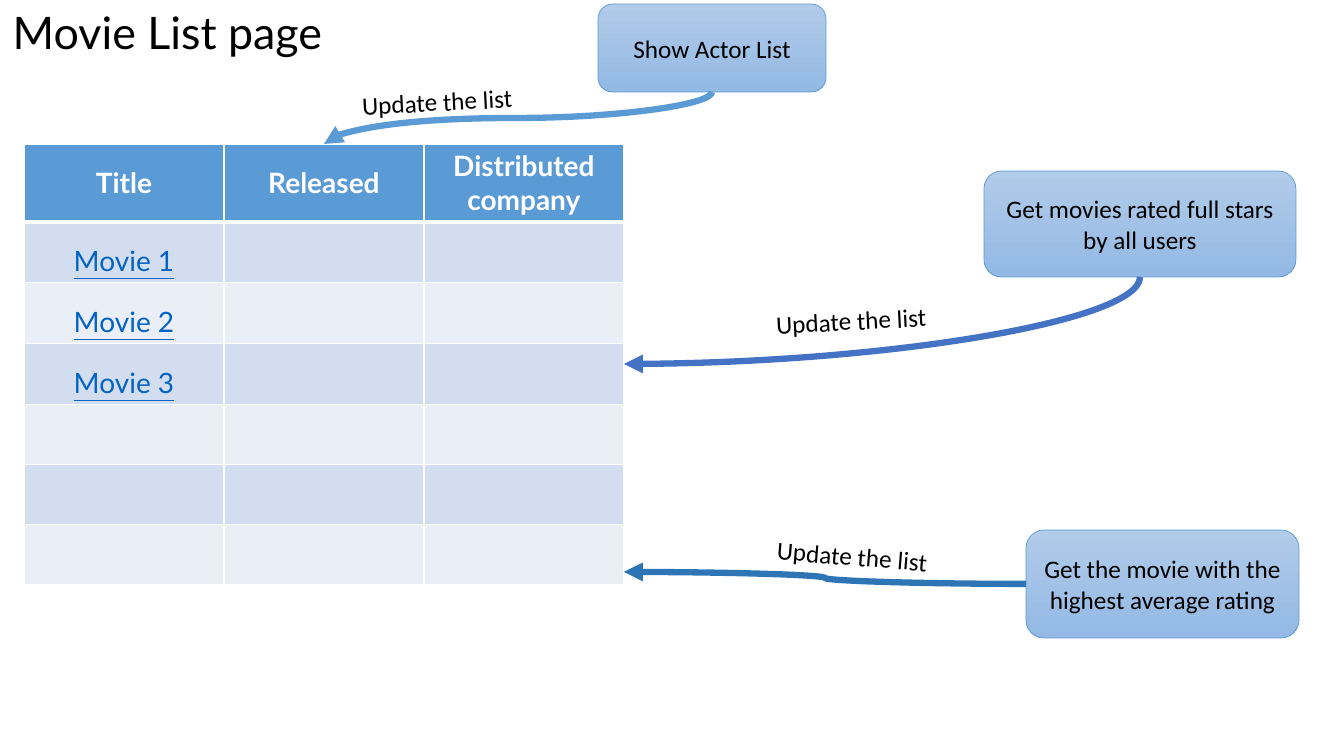
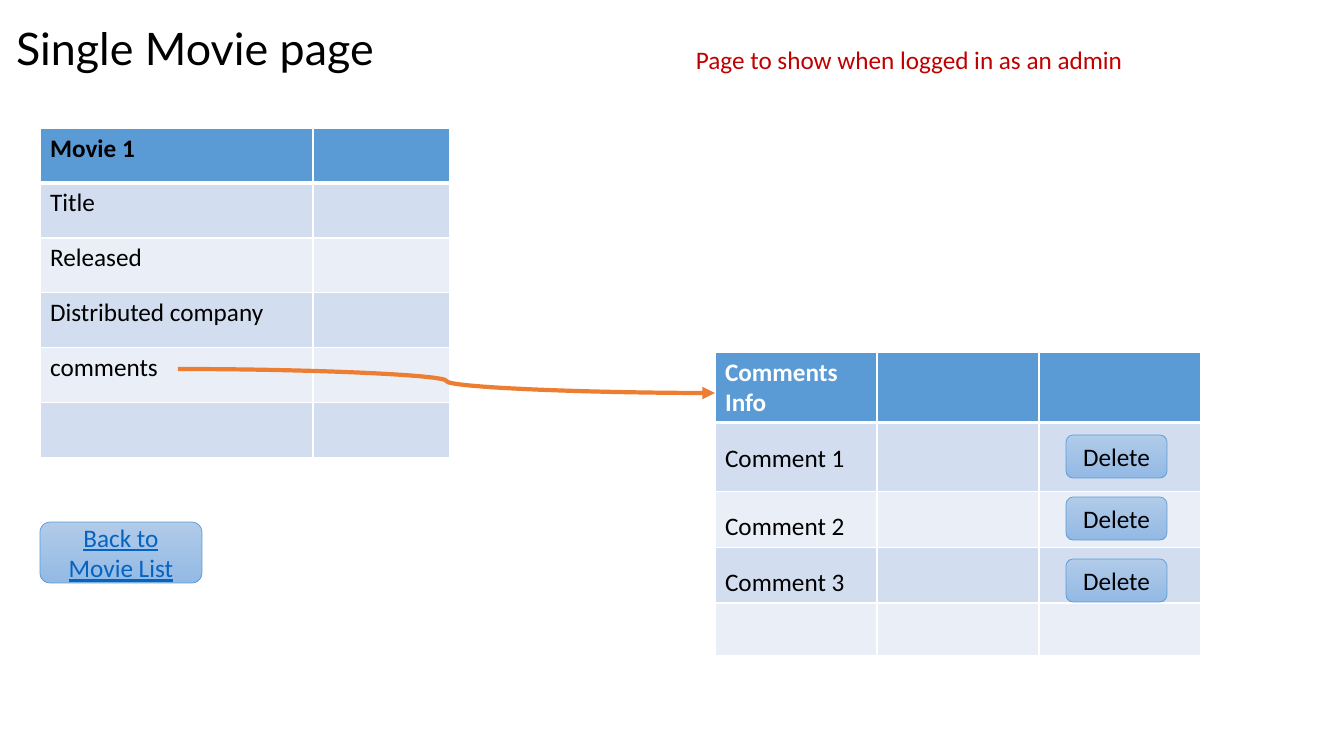
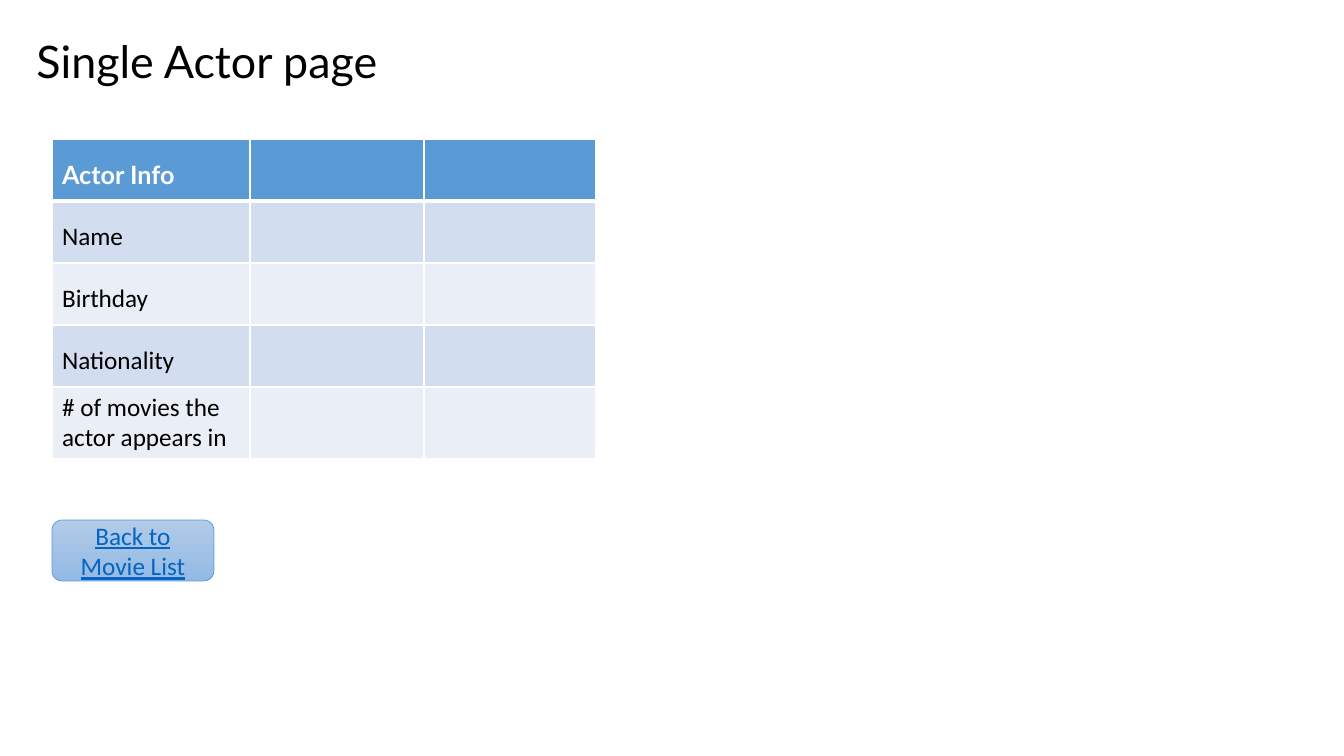
import dataclasses

import lxml.etree
import pptx
import pptx.dml.color
import pptx.enum.shapes
import pptx.enum.text
import pptx.oxml.ns
import pptx.util

ALIGN = pptx.enum.text.PP_ALIGN
SLIDE_WIDTH, SLIDE_HEIGHT = 1344, 756
EMU_PER_PIXEL = 12192000 / SLIDE_WIDTH


@dataclasses.dataclass(frozen=True)
class Theme:
    heading_font: str = "Lato"
    body_font: str = "Calibri"
    title_size: int = 32
    list_size: int = 20
    body_size: int = 18
    ink: str = "000000"
    white: str = "FFFFFF"
    link: str = "0563C1"
    notice: str = "C00000"
    accent: str = "5B9BD5"
    blue: str = "4472C4"
    deep_blue: str = "2E75B6"
    orange: str = "ED7D31"
    bands: tuple = ("EAEFF7", "D2DEEF")
    button_shades: tuple = ("B1CBE9", "93B9E4")


THEME = Theme()


@dataclasses.dataclass(frozen=True)
class TextStyle:
    size: int = THEME.body_size
    color: str = THEME.ink
    font: str = THEME.body_font
    bold: bool = False
    underline: bool = False
    align: int = ALIGN.LEFT
    spacing: float = 1.0


BODY = TextStyle()
LOOSE = dataclasses.replace(BODY, spacing=1.5)
BOLD = dataclasses.replace(BODY, bold=True)
HEADER = dataclasses.replace(BOLD, color=THEME.white)
ACTOR_HEADER = dataclasses.replace(HEADER, font=THEME.heading_font, spacing=1.5)
LIST_HEADER = dataclasses.replace(
    ACTOR_HEADER, size=THEME.list_size, align=ALIGN.CENTER)
LIST_HEADER_TIGHT = dataclasses.replace(LIST_HEADER, spacing=1.0)
LIST_LINK = dataclasses.replace(
    LIST_HEADER, color=THEME.link, bold=False, underline=True)
TITLE = TextStyle(THEME.title_size, font=THEME.heading_font, align=ALIGN.CENTER)
BUTTON = dataclasses.replace(BODY, align=ALIGN.CENTER)
BUTTON_LINK = dataclasses.replace(BUTTON, color=THEME.link, underline=True)
NOTICE = dataclasses.replace(BODY, color=THEME.notice)


def px(pixels):
    return pptx.util.Emu(round(pixels * EMU_PER_PIXEL))


def rgb(color):
    return pptx.dml.color.RGBColor.from_string(color)


def write(frame, text, style):
    frame.text = text
    para = frame.paragraphs[0]
    para.alignment = style.align
    para.line_spacing = style.spacing
    font = para.font
    font.name = style.font
    font.size = pptx.util.Pt(style.size)
    font.bold = style.bold
    font.underline = style.underline
    font.color.rgb = rgb(style.color)


def add_page(deck, title, left, top, width):
    page = deck.slides.add_slide(deck.slide_layouts[5])
    box = page.shapes.title
    box.left, box.top, box.width, box.height = map(px, (left, top, width, 64))
    frame = box.text_frame
    frame.word_wrap = False
    frame.auto_size = pptx.enum.text.MSO_AUTO_SIZE.NONE
    frame.vertical_anchor = pptx.enum.text.MSO_ANCHOR.TOP
    write(frame, title, TITLE)
    return page


def add_label(page, text, left, top, width, style=BODY, rotation=0):
    box = page.shapes.add_textbox(*map(px, (left, top, width, 40)))
    box.rotation = rotation
    box.text_frame.word_wrap = True
    write(box.text_frame, text, style)


def add_button(page, text, left, top, width, height, style=BUTTON):
    button = page.shapes.add_shape(
        pptx.enum.shapes.MSO_SHAPE.ROUNDED_RECTANGLE,
        *map(px, (left, top, width, height)))
    button.shadow.inherit = False
    button.fill.gradient()
    button.fill.gradient_angle = 270
    for stop, shade in zip(button.fill.gradient_stops, THEME.button_shades):
        stop.color.rgb = rgb(shade)
    button.line.color.rgb = rgb(THEME.accent)
    button.line.width = pptx.util.Pt(0.5)
    button.text_frame.word_wrap = True
    button.text_frame.vertical_anchor = pptx.enum.text.MSO_ANCHOR.MIDDLE
    write(button.text_frame, text, style)


def add_curve(page, start, end, color, weight, from_below=False, preset=None):
    if from_below:
        middle_x, middle_y = ((a + b) / 2 for a, b in zip(start, end))
        half_width = abs(end[1] - start[1]) / 2
        half_height = abs(end[0] - start[0]) / 2
        start = middle_x - half_width, middle_y - half_height
        end = middle_x + half_width, middle_y + half_height
    curve = page.shapes.add_connector(
        pptx.enum.shapes.MSO_CONNECTOR.CURVE, *map(px, (*start, *end)))
    curve.line.color.rgb = rgb(color)
    curve.line.width = pptx.util.Pt(weight)
    properties = curve.element.spPr
    if from_below:
        properties.xfrm.set("rot", str(90 * 60000))
    qn = pptx.oxml.ns.qn
    if preset:
        properties.find(qn("a:prstGeom")).set("prst", preset)
    lxml.etree.SubElement(
        properties.find(qn("a:ln")), qn("a:tailEnd"), type="triangle")
    lxml.etree.SubElement(properties, qn("a:effectLst"))


def add_borders(cell, top, bottom):
    qn = pptx.oxml.ns.qn
    properties = cell._tc.get_or_add_tcPr()
    for side, weight in (("L", 1), ("R", 1), ("T", top), ("B", bottom)):
        line = lxml.etree.SubElement(
            properties, qn("a:ln" + side), w=str(pptx.util.Pt(weight)))
        fill = lxml.etree.SubElement(line, qn("a:solidFill"))
        lxml.etree.SubElement(fill, qn("a:srgbClr"), val=THEME.white)


def add_table(page, left, top, widths, heights, contents):
    table = page.shapes.add_table(
        len(heights), len(widths),
        *map(px, (left, top, sum(widths), sum(heights)))).table
    for column, width in zip(table.columns, widths):
        column.width = px(width)
    for index, (row, height) in enumerate(zip(table.rows, heights)):
        row.height = px(height)
        for cell in row.cells:
            add_borders(cell, 3 if index == 1 else 1, 3 if index == 0 else 1)
            cell.fill.solid()
            cell.fill.fore_color.rgb = rgb(
                THEME.bands[index % 2] if index else THEME.accent)
    for row, entries in zip(table.rows, contents):
        for cell, (text, style) in zip(row.cells, entries):
            write(cell.text_frame, text, style)


def add_back_button(page, left, top):
    add_button(page, "Back to Movie List", left, top, 162, 61, BUTTON_LINK)


def build_movie_list(deck):
    page = add_page(deck, "Movie List page", 0, 0, 335)
    header = [("Title", LIST_HEADER), ("Released", LIST_HEADER),
              ("Distributed company", LIST_HEADER_TIGHT)]
    movies = [[(f"Movie {number}", LIST_LINK)] for number in (1, 2, 3)]
    add_table(page, 24, 144, [200] * 3, [76] + [61] * 3 + [60] * 3,
              [header] + movies)
    add_button(page, "Get movies rated full stars by all users",
               984, 171, 312, 106)
    add_button(page, "Get the movie with the highest average rating",
               1026, 530, 273, 108)
    add_button(page, "Show Actor List", 598, 4, 228, 88)
    add_curve(page, (1140, 277), (624, 364), THEME.blue, 4.5,
              from_below=True, preset="curvedConnector2")
    add_curve(page, (1026, 584), (624, 572), THEME.deep_blue, 4.5)
    add_curve(page, (712, 92), (324, 144), THEME.accent, 4.5, from_below=True)
    for left, top, rotation in ((766, 300, -2.9), (767, 536, 4.6),
                                (352, 81, -2.9)):
        add_label(page, "Update the list", left, top, 179, rotation=rotation)


def build_single_movie(deck):
    page = add_page(deck, "Single Movie page", 0, 16, 390)
    add_label(page, "Page to show when logged in as an admin",
              686, 39, 470, NOTICE)
    fields = ["Title", "Released", "Distributed company", "comments"]
    add_table(page, 40, 128, [273, 137], [55] * 6,
              [[("Movie 1", BOLD)]] + [[(field, BODY)] for field in fields])
    comments = [[(f"Comment {number}", LOOSE)] for number in (1, 2, 3)]
    add_table(page, 715, 352, [162] * 3, [70, 69, 56, 55, 53],
              [[("Comments Info", HEADER)]] + comments)
    for index in range(len(comments)):
        add_button(page, "Delete", 1066, 435 + 62 * index, 101, 43)
    add_curve(page, (178, 369), (715, 393), THEME.orange, 3)
    add_back_button(page, 40, 522)


def build_single_actor(deck):
    page = add_page(deck, "Single Actor page", 14, 29, 386)
    fields = ["Name", "Birthday", "Nationality"]
    add_table(page, 52, 139, [198, 174, 172], [62] * 4 + [71],
              [[("Actor Info", ACTOR_HEADER)]]
              + [[(field, LOOSE)] for field in fields]
              + [[("# of movies the actor appears in", BODY)]])
    add_back_button(page, 52, 520)


def main():
    deck = pptx.Presentation()
    deck.slide_width, deck.slide_height = px(SLIDE_WIDTH), px(SLIDE_HEIGHT)
    build_movie_list(deck)
    build_single_movie(deck)
    build_single_actor(deck)
    deck.save("out.pptx")


main()
